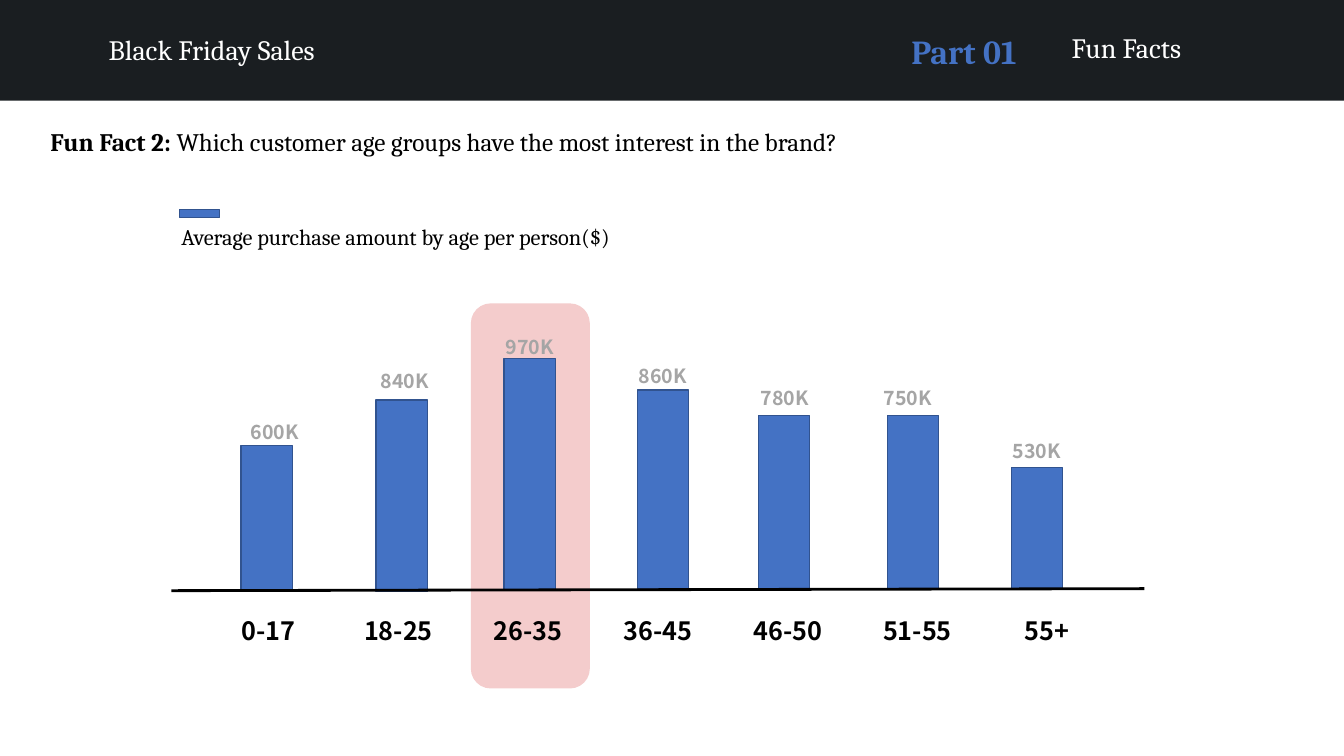
from pptx import Presentation
from pptx.util import Inches, Pt
from pptx.dml.color import RGBColor
from pptx.enum import shapes, text
from pptx.oxml import parse_xml
from pptx.oxml.ns import nsdecls

COLORS = {"dark": "1A1E21", "white": "FFFFFF", "black": "000000", "blue": "4472C4",
          "edge": "31538F", "pink": "F4CCCC", "gray": "A5A5A5"}
SERIF, SANS = "Cambria", "Noto Sans CJK KR"
RECT = shapes.MSO_SHAPE.RECTANGLE

prs = Presentation()
prs.slide_width, prs.slide_height = Inches(13.33), Inches(7.5)
slide = prs.slides.add_slide(prs.slide_layouts[6])


def add_box(x, y, w, h, fill, line=None, kind=RECT):
    box = slide.shapes.add_shape(kind, Inches(x), Inches(y), Inches(w), Inches(h))
    box.shadow.inherit = False
    box.fill.solid()
    box.fill.fore_color.rgb = RGBColor.from_string(COLORS[fill])
    if line:
        box.line.color.rgb = RGBColor.from_string(COLORS[line])
        box.line.width = Pt(1)
    else:
        box.line.fill.background()
    return box


def add_text(words, x, y, w, h, size, color="black", font=SERIF, bold=False,
             center=False, middle=False, space=None, lead=""):
    box = slide.shapes.add_textbox(Inches(x), Inches(y), Inches(w), Inches(h))
    frame = box.text_frame
    frame.word_wrap = True
    if middle:
        frame.vertical_anchor = text.MSO_ANCHOR.MIDDLE
    para = frame.paragraphs[0]
    para.alignment = text.PP_ALIGN.CENTER if center else text.PP_ALIGN.LEFT
    if space:
        para.line_spacing = space
    for part, heavy in ((lead, True), (words, bold)):
        if part:
            run = para.add_run()
            run.text = part
            run.font.size, run.font.name, run.font.bold = Pt(size), font, heavy
            run.font.color.rgb = RGBColor.from_string(COLORS[color])


# Highlight behind the top age group
add_box(4.67, 3.01, 1.18, 3.82, "pink", kind=shapes.MSO_SHAPE.ROUNDED_RECTANGLE)

# Header band
add_box(0, 0, 13.33, 1, "dark")
add_text("Black Friday Sales", 0.98, 0.16, 2.6, 0.53, 20, "white", middle=True, space=1.4)
add_text("Part 01", 8.7, 0.14, 1.72, 0.53, 24, "blue", bold=True, center=True,
         middle=True, space=1.5)
add_text("Fun Facts", 10.53, 0.14, 2.52, 0.53, 20, "white", middle=True, space=1.4)

# Question
add_text("Which customer age groups have the most interest in the brand?",
         0.4, 1.2, 10.95, 0.4, 18, lead="Fun Fact 2: ")

# Legend
add_box(1.78, 2.08, 0.4, 0.08, "blue", "edge")
add_text("Average purchase amount by age per person($)", 1.7, 2.16, 5.11, 0.37, 16)

# Bars: age, bar left, top and height
bars = [("0-17", 2.39, 4.42, 1.44), ("18-25", 3.73, 3.97, 1.9),
        ("26-35", 5, 3.56, 2.3), ("36-45", 6.32, 3.87, 1.97),
        ("46-50", 7.52, 4.12, 1.72), ("51-55", 8.8, 4.12, 1.72),
        ("55+", 10.03, 4.64, 1.2)]
for i, (age, x, y, h) in enumerate(bars):
    add_box(x, y, 0.51, h, "blue", "edge")
    add_text(age, 2.09 + 1.287 * i, 6.06, 1.15, 0.4, 18, font=SANS, bold=True, center=True)

# Base line
base = slide.shapes.add_connector(shapes.MSO_CONNECTOR.STRAIGHT, Inches(1.7), Inches(5.86),
                                  Inches(11.35), Inches(5.84))
base.line.color.rgb = RGBColor.from_string(COLORS["black"])
base.line.width = Pt(2)
base._element.spPr.append(parse_xml(f"<a:effectLst {nsdecls('a')}/>"))

# Amounts over the bars: amount, left, top
amounts = [("600K", 2.14, 4.12), ("840K", 3.43, 3.61), ("970K", 4.67, 3.27),
           ("860K", 5.99, 3.56), ("780K", 7.2, 3.78), ("750K", 8.42, 3.78),
           ("530K", 9.7, 4.31)]
for amount, x, y in amounts:
    add_text(amount, x, y, 1.17, 0.34, 14, "gray", SANS, bold=True, center=True)

prs.save("out.pptx")
